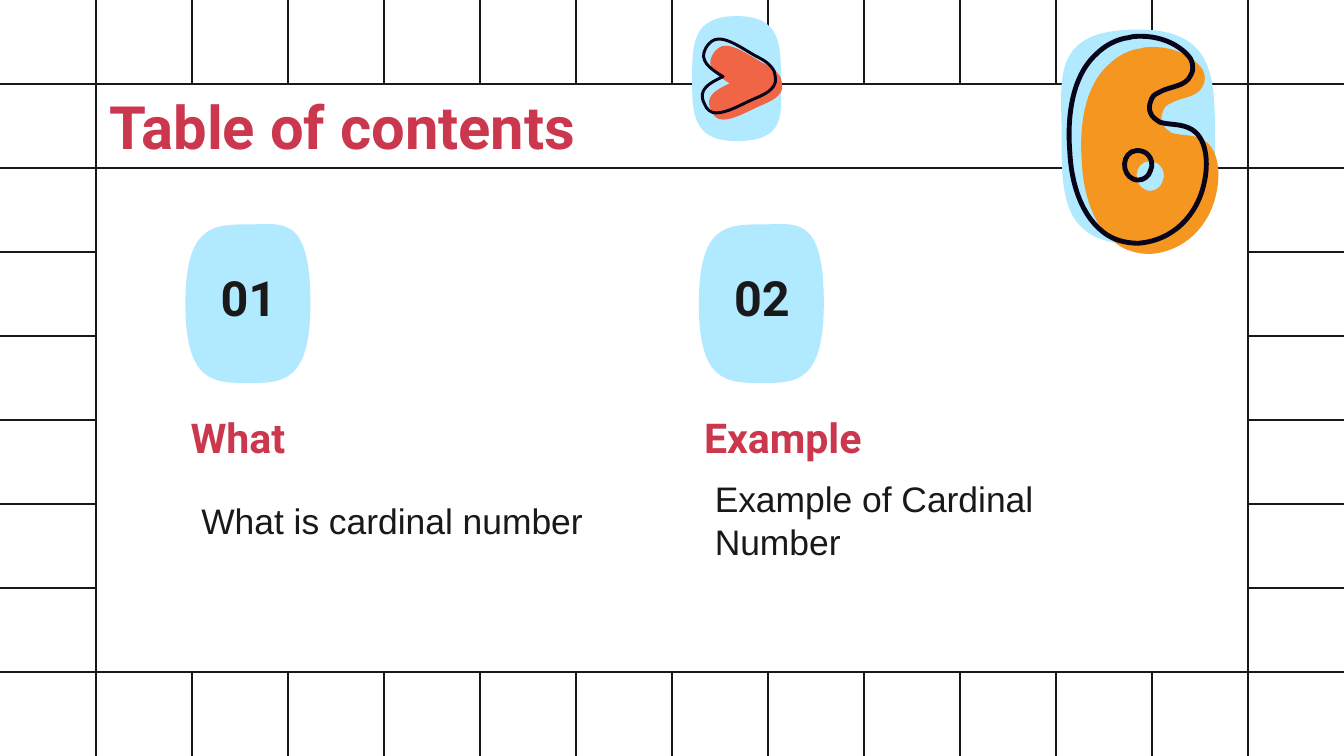
from dataclasses import dataclass

from lxml.etree import SubElement
from pptx import Presentation
from pptx.dml.color import RGBColor
from pptx.enum.shapes import MSO_CONNECTOR, MSO_SHAPE
from pptx.enum.text import MSO_ANCHOR, MSO_AUTO_SIZE, PP_ALIGN
from pptx.oxml.ns import qn
from pptx.util import Inches, Pt


@dataclass(frozen=True)
class Theme:
    """Colours, fonts and type sizes of the slide."""
    ink: str = "191919"
    red: str = "CB374D"
    white: str = "FFFFFF"
    sky: str = "B1E9FF"
    coral: str = "F06546"
    orange: str = "F59620"
    outline: str = "08051A"
    heading_font: str = "Roboto"
    body_font: str = "Arial"
    title_size: int = 32
    number_size: int = 26
    heading_size: int = 22
    body_size: int = 19
    grid_width: float = 1.5


THEME = Theme()
WIDTH, HEIGHT = 10, 10 * 9 / 16
COLUMNS, ROWS = 14, 9
CELL_WIDTH, CELL_HEIGHT = WIDTH / COLUMNS, HEIGHT / ROWS
FRAME_WIDTH = WIDTH - 2 * CELL_WIDTH
ITEM_LEFT, ITEM_PITCH = 1.32, 3.82
ITEMS = [
    ("01", "What", "What is cardinal number"),
    ("02", "Example", "Example of Cardinal Number"),
]

# A contour is a start point followed by cubic curves (control, control, end).
NUMBER_BLOB = [[
    (1.38, 2.26),
    (1.38, 2.85, 1.59, 2.85, 1.85, 2.85), (2.1, 2.85, 2.31, 2.85, 2.31, 2.26),
    (2.31, 1.59, 2.1, 1.67, 1.85, 1.67), (1.59, 1.67, 1.38, 1.67, 1.38, 2.26),
]]
HEART_BLOB = [[
    (5.48, 0.12),
    (5.15, 0.12, 5.15, 0.33, 5.15, 0.59), (5.15, 0.84, 5.15, 1.05, 5.48, 1.05),
    (5.86, 1.05, 5.81, 0.84, 5.81, 0.59), (5.81, 0.33, 5.81, 0.12, 5.48, 0.12),
]]
SIX_BLOB = [[
    (8.47, 0.22),
    (7.81, 0.22, 7.9, 0.58, 7.9, 1.02), (7.9, 1.46, 7.9, 1.82, 8.47, 1.82),
    (9.04, 1.82, 9.04, 1.46, 9.04, 1.02), (9.04, 0.58, 9.04, 0.22, 8.47, 0.22),
]]
HEART = [[
    (5.4, 0.34),
    (5.36, 0.34, 5.33, 0.36, 5.3, 0.41), (5.25, 0.5, 5.33, 0.56, 5.43, 0.62),
    (5.32, 0.67, 5.24, 0.72, 5.29, 0.82), (5.31, 0.87, 5.34, 0.89, 5.38, 0.89),
    (5.46, 0.89, 5.56, 0.83, 5.65, 0.79), (5.72, 0.76, 5.83, 0.72, 5.82, 0.63),
    (5.82, 0.61, 5.82, 0.6, 5.81, 0.58), (5.78, 0.52, 5.72, 0.49, 5.66, 0.46),
    (5.56, 0.4, 5.47, 0.34, 5.4, 0.34),
]]
SIX = [[
    (8.58, 0.35),
    (8.55, 0.35, 8.52, 0.35, 8.49, 0.36), (8.4, 0.37, 8.31, 0.42, 8.25, 0.48),
    (8.06, 0.65, 8.03, 0.96, 8.05, 1.21), (8.06, 1.43, 8.13, 1.7, 8.33, 1.83),
    (8.41, 1.88, 8.5, 1.89, 8.56, 1.89),
    (8.82, 1.87, 9, 1.68, 9.05, 1.44), (9.08, 1.31, 9.08, 1.09, 8.93, 1.03),
    (8.86, 1, 8.79, 1.01, 8.72, 0.99), (8.69, 0.97, 8.66, 0.95, 8.65, 0.92),
    (8.64, 0.9, 8.64, 0.86, 8.65, 0.84), (8.66, 0.8, 8.68, 0.78, 8.71, 0.77),
    (8.79, 0.72, 8.91, 0.73, 8.95, 0.64), (8.97, 0.61, 8.97, 0.56, 8.95, 0.52),
    (8.93, 0.49, 8.9, 0.46, 8.87, 0.44), (8.79, 0.38, 8.68, 0.35, 8.58, 0.35),
], [
    (8.55, 1.2),
    (8.58, 1.2, 8.61, 1.21, 8.63, 1.23), (8.66, 1.26, 8.67, 1.31, 8.65, 1.35),
    (8.64, 1.39, 8.6, 1.42, 8.56, 1.42), (8.45, 1.42, 8.42, 1.26, 8.51, 1.21),
    (8.52, 1.21, 8.54, 1.2, 8.55, 1.2),
]]


def color(value):
    """Turn a hex string into a colour."""
    return RGBColor.from_string(value)


def style_box(shape, left, top, width, height):
    """Place a white box with a thin dark border."""
    shape.left, shape.top = Inches(left), Inches(top)
    shape.width, shape.height = Inches(width), Inches(height)
    shape.fill.solid()
    shape.fill.fore_color.rgb = color(THEME.white)
    shape.line.color.rgb = color(THEME.ink)
    shape.line.width = Pt(THEME.grid_width)


def write(shape, text, size, hue, font=THEME.heading_font, bold=True, align=PP_ALIGN.LEFT):
    """Write one formatted run, centred vertically in the shape."""
    frame = shape.text_frame
    frame.word_wrap = True
    frame.auto_size = MSO_AUTO_SIZE.NONE
    frame.vertical_anchor = MSO_ANCHOR.MIDDLE
    frame.margin_left = frame.margin_right = Inches(0.1)
    frame.margin_top = frame.margin_bottom = Inches(0.1)
    paragraph = frame.paragraphs[0]
    paragraph.alignment = align
    run = paragraph.add_run()
    run.text = text
    run.font.name, run.font.size, run.font.bold = font, Pt(size), bold
    run.font.color.rgb = color(hue)


def add_text(slide, box, *content, **style):
    """Add a text box at the given place."""
    shape = slide.shapes.add_textbox(*map(Inches, box))
    write(shape, *content, **style)


def add_grid_line(group, start, end):
    """Add one dark line of the background grid."""
    line = group.shapes.add_connector(MSO_CONNECTOR.STRAIGHT, *map(Inches, start + end))
    line.line.color.rgb = color(THEME.ink)
    line.line.width = Pt(THEME.grid_width)
    SubElement(line.element.spPr, qn("a:effectLst"))


def add_grid(slide):
    """Draw the squared background and its white frame, kept on the layout."""
    group = slide.shapes.add_group_shape()
    for column in range(1, COLUMNS):
        add_grid_line(group, (column * CELL_WIDTH, 0), (column * CELL_WIDTH, HEIGHT))
    for row in range(1, ROWS):
        add_grid_line(group, (0, row * CELL_HEIGHT), (WIDTH, row * CELL_HEIGHT))
    frame = slide.shapes.add_shape(MSO_SHAPE.RECTANGLE, 0, 0, 0, 0)
    style_box(frame, CELL_WIDTH, CELL_HEIGHT, FRAME_WIDTH, HEIGHT - 2 * CELL_HEIGHT)
    frame.shadow.inherit = False
    first_placeholder = slide.slide_layout.placeholders[0].element
    for shape in (group, frame):
        first_placeholder.addprevious(shape.element)


def curve_segments(shape):
    """Turn every three straight segments of a freeform into one cubic curve."""
    for outline in shape.element.iter(qn("a:path")):
        lines = outline.findall(qn("a:lnTo"))
        for trio in zip(lines[::3], lines[1::3], lines[2::3]):
            curve = outline.makeelement(qn("a:cubicBezTo"))
            trio[0].addprevious(curve)
            for line in trio:
                curve.append(line[0])
                outline.remove(line)


def add_outline(parent, contours, fill=None, line_width=None, dx=0, dy=0):
    """Add a curved shape that is either filled or only stroked."""
    builder = None
    for contour in contours:
        numbers = [number for part in contour for number in part]
        points = [(Inches(x + dx), Inches(y + dy))
                  for x, y in zip(numbers[::2], numbers[1::2])]
        if builder:
            builder.move_to(*points[0])
        else:
            builder = parent.shapes.build_freeform(*points[0])
        builder.add_line_segments(points[1:], close=True)
    shape = builder.convert_to_shape()
    curve_segments(shape)
    shape.shadow.inherit = False
    if fill:
        shape.fill.solid()
        shape.fill.fore_color.rgb = color(fill)
        shape.line.fill.background()
    else:
        shape.fill.background()
        shape.line.color.rgb = color(THEME.outline)
        shape.line.width = Pt(line_width)


def add_sticker(slide, blob, figure, fill, line_width, dx, dy):
    """Group a blob, a coloured figure and its shifted outline."""
    group = slide.shapes.add_group_shape()
    add_outline(group, blob, THEME.sky)
    add_outline(group, figure, fill)
    add_outline(group, figure, line_width=line_width, dx=dx, dy=dy)


def add_item(slide, index, number, heading, body):
    """Add one entry: numbered blob, heading and description."""
    shift = index * ITEM_PITCH
    left = ITEM_LEFT + shift
    add_outline(slide, NUMBER_BLOB, THEME.sky, dx=shift)
    add_text(slide, (left + 0.08, 1.86, 0.9, 0.7), number, THEME.number_size, THEME.ink,
             align=PP_ALIGN.CENTER)
    add_text(slide, (left, 2.97, 3.33, 0.56), heading, THEME.heading_size, THEME.red)
    add_text(slide, (left + 0.08, 3.44, 3.33, 0.86), body, THEME.body_size, THEME.ink,
             font=THEME.body_font, bold=False)


def main():
    """Build the slide and save it."""
    presentation = Presentation()
    presentation.slide_width, presentation.slide_height = Inches(WIDTH), Inches(HEIGHT)
    slide = presentation.slides.add_slide(presentation.slide_layouts[5])
    add_grid(slide)
    style_box(slide.shapes.title, CELL_WIDTH, CELL_HEIGHT, FRAME_WIDTH, CELL_HEIGHT)
    write(slide.shapes.title, "Table of contents", THEME.title_size, THEME.red)
    for index, item in enumerate(ITEMS):
        add_item(slide, index, *item)
    add_sticker(slide, HEART_BLOB, HEART, THEME.coral, 1.6, -0.05, -0.05)
    add_sticker(slide, SIX_BLOB, SIX, THEME.orange, 2.6, -0.09, -0.08)
    presentation.save("out.pptx")


main()
